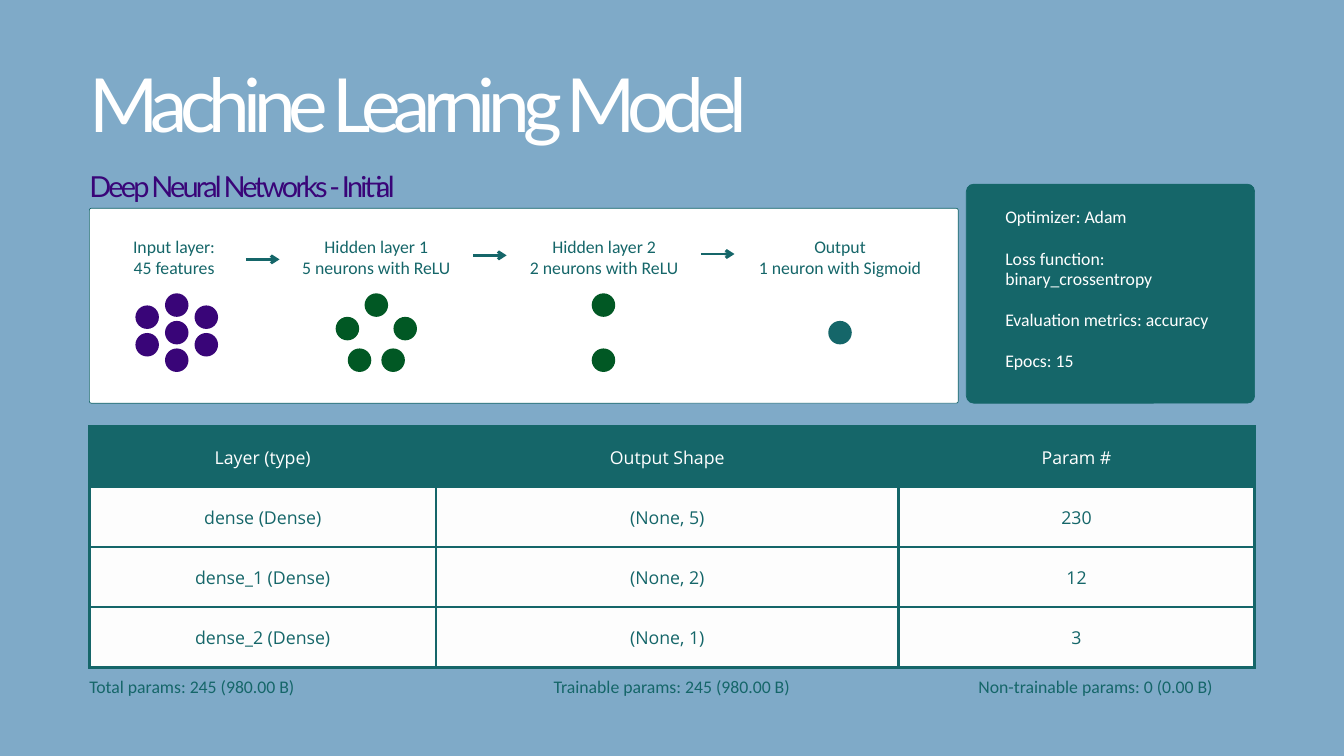
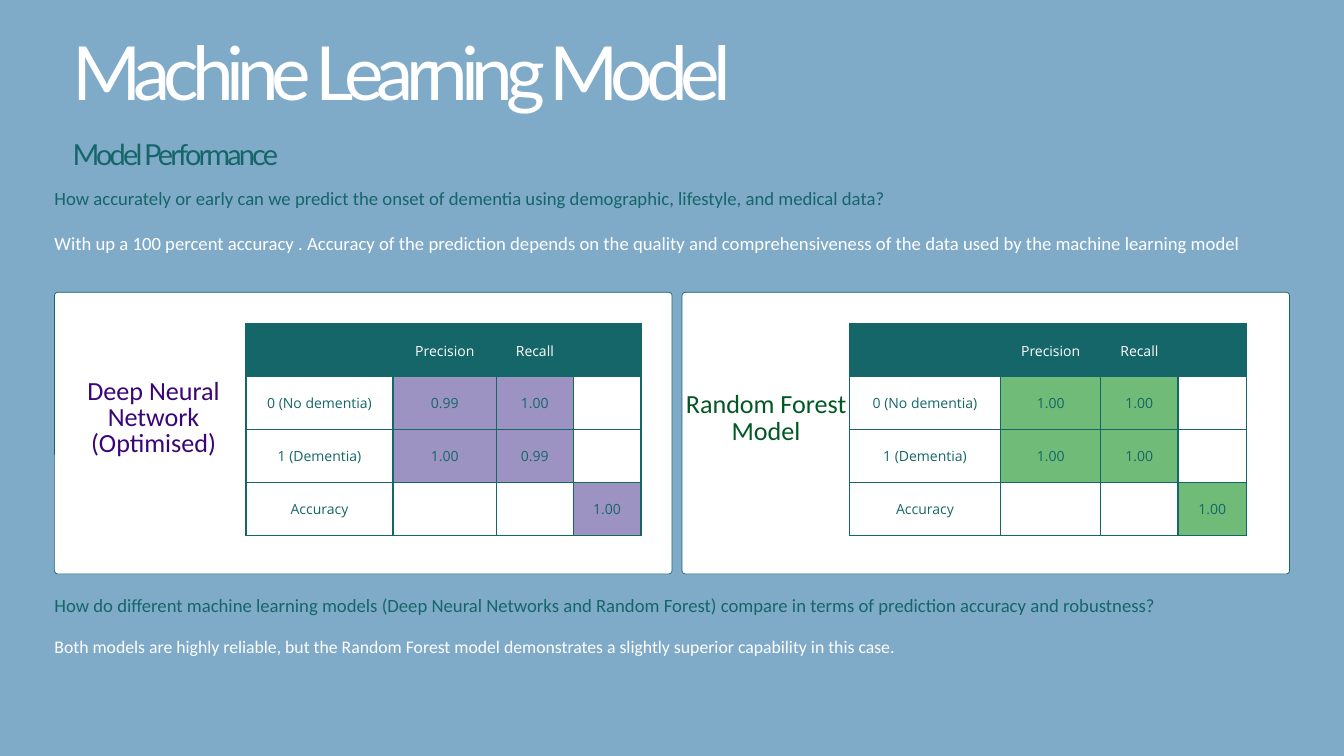
"""Build two slides on a machine learning model: its network and its performance."""
from lxml.etree import SubElement
from pptx import Presentation
from pptx.dml.color import RGBColor
from pptx.enum.shapes import MSO_CONNECTOR, MSO_SHAPE
from pptx.enum.text import MSO_ANCHOR, PP_ALIGN
from pptx.oxml import parse_xml
from pptx.oxml.ns import nsdecls, qn
from pptx.util import Inches, Pt

WIDTH, HEIGHT = Inches(20), Inches(11.25)
COLUMN = WIDTH / 20
COLORS = {
    "back": "7FAAC8", "teal": "156669", "white": "FFFFFF", "cell": "FDFDFD",
    "purple": "390578", "green": "015824", "lilac": "9D93C2", "mint": "70BB77",
}
FONTS = {
    "title": {"name": "Lato", "size": Pt(80)},
    "subtitle": {"name": "Lato", "size": Pt(31)},
    "body": {"name": "Calibri", "size": Pt(19)},
    "question": {"name": "Calibri", "size": Pt(20)},
    "model": {"name": "Calibri", "size": Pt(28)},
    "layers": {"name": "Open Sans", "size": Pt(19)},
    "scores": {"name": "Open Sans", "size": Pt(15)},
}
SPACINGS = {
    "title": {"line_spacing": Pt(40)},
    "subtitle": {"line_spacing": Pt(29.8), "space_before": Pt(29.8)},
    "body": {"line_spacing": Pt(22)},
    "question": {},
    "model": {"line_spacing": Pt(28)},
    "layers": {"line_spacing": Pt(26.6)},
    "scores": {"line_spacing": Pt(21)},
}
TRACKING = {"title": -770, "subtitle": -300}
CENTER = {"alignment": PP_ALIGN.CENTER}

DOT = 0.35
DOT_ROW = 4.95
LABEL_TOP, LABEL_HEIGHT = 3.52, 0.68
LAYERS = [
    (2.59, 2.14, "purple", ["Input layer:", "45 features"], 2.63,
     [(0, 0), (0, -0.41), (0, 0.41), (-0.44, -0.23), (0.44, -0.23),
      (-0.44, 0.18), (0.44, 0.18)]),
    (5.6, 3.14, "green", ["Hidden layer 1", "5 neurons with ReLU"], 5.6,
     [(0, -0.41), (-0.43, -0.06), (0.43, -0.06), (-0.25, 0.41), (0.25, 0.41)]),
    (8.99, 3.14, "green", ["Hidden layer 2", "2 neurons with ReLU"], 8.98,
     [(0, -0.41), (0, 0.41)]),
    (12.5, 3.14, "teal", ["Output", "1 neuron with Sigmoid"], 12.5, [(0, 0)]),
]
ARROWS = [(3.66, 3.86), (7.04, 3.8), (10.43, 3.78)]
SETTINGS = ["Optimizer: Adam", "Loss function: binary_crossentropy",
            "Evaluation metrics: accuracy", "Epocs: 15"]
SUMMARY = [
    ["Layer (type)", "Output Shape", "Param #"],
    ["dense (Dense)", "(None, 5)", "230"],
    ["dense_1 (Dense)", "(None, 2)", "12"],
    ["dense_2 (Dense)", "(None, 1)", "3"],
]
TOTALS = [
    (1.33, 5.41, "Total params: 245 (980.00 B)", {}),
    (7.29, 5.41, "Trainable params: 245 (980.00 B)", CENTER),
    (14.56, 4.11, "Non-trainable params: 0 (0.00 B)", {}),
]


def grid(*lengths):
    """Turn grid columns into slide units."""
    return [round(n * COLUMN) for n in lengths]


def rgb(color):
    """Look a colour up by name."""
    return RGBColor.from_string(COLORS[color])


def set_all(obj, values):
    """Set each named attribute of an object."""
    for name, value in values.items():
        setattr(obj, name, value)


def write(p, text, style, color, **extra):
    """Fill a paragraph with one styled run."""
    set_all(p, SPACINGS[style] | extra)
    r = p.add_run()
    r.text = text
    set_all(r.font, FONTS[style])
    r.font.color.rgb = rgb(color)
    if style in TRACKING:
        r.font._element.set("spc", str(TRACKING[style]))


def add_text(s, box, paragraphs):
    """Add a text box of (text, style, colour, extra) paragraphs."""
    sp = s.shapes.add_textbox(*grid(*box))
    tf = sp.text_frame
    set_all(tf, {"word_wrap": True, "margin_left": 0, "margin_right": 0,
                 "margin_top": 0, "margin_bottom": 0})
    for i, (text, style, color, extra) in enumerate(paragraphs):
        p = tf.add_paragraph() if i else tf.paragraphs[0]
        write(p, text, style, color, **extra)
    return sp


def add_heading(s, left, top, subtitle, color):
    """Add the title with its subtitle."""
    add_text(s, (left, top, 15.55, 1.23), [
        ("Machine Learning Model", "title", "white", {}),
        (subtitle, "subtitle", color, {})])


def add_panel(s, box, fill, radius):
    """Add a rounded panel with a thin outline."""
    sp = s.shapes.add_shape(MSO_SHAPE.ROUNDED_RECTANGLE, *grid(*box))
    sp.adjustments[0] = radius / min(box[2:])
    sp.shadow.inherit = False
    sp.fill.solid()
    sp.fill.fore_color.rgb = rgb(fill)
    sp.line.color.rgb = rgb("teal")
    sp.line.width = Pt(0.75)


def add_dot(s, x, y, color):
    """Add one neuron centred on a point."""
    sp = s.shapes.add_shape(MSO_SHAPE.OVAL, *grid(x - DOT / 2, y - DOT / 2, DOT, DOT))
    sp.shadow.inherit = False
    sp.fill.solid()
    sp.fill.fore_color.rgb = rgb(color)
    sp.line.fill.background()


def add_arrow(s, x, y):
    """Add a short arrow pointing right."""
    cx = s.shapes.add_connector(MSO_CONNECTOR.STRAIGHT, *grid(x, y, x + 0.5, y))
    cx.line.color.rgb = rgb("teal")
    cx.line.width = Pt(3)
    SubElement(cx.line._get_or_add_ln(), qn("a:tailEnd"), type="arrow")
    SubElement(cx._element.spPr, qn("a:effectLst"))
    return cx


def add_borders(cell, width):
    """Draw all four borders of a cell."""
    tc_pr = cell._tc.get_or_add_tcPr()
    for i, side in enumerate("LRTB"):
        tc_pr.insert(i, parse_xml(
            f'<a:ln{side} {nsdecls("a")} w="{Pt(width)}"><a:solidFill>'
            f'<a:srgbClr val="{COLORS["teal"]}"/></a:solidFill></a:ln{side}>'))


def add_grid_table(s, left, top, height, widths, rows, style, border, fill_of):
    """Add a table with a teal header and fills chosen by row and column."""
    box = grid(left, top, sum(widths), height)
    table = s.shapes.add_table(len(rows), len(widths), *box).table
    table.first_row = table.horz_banding = False
    for column, width in zip(table.columns, grid(*widths)):
        column.width = width
    for i, row in enumerate(rows):
        table.rows[i].height = box[3] // len(rows)
        for j, text in enumerate(row):
            cell = table.cell(i, j)
            margin = grid(0.21)[0]
            set_all(cell, {"margin_left": margin, "margin_right": margin,
                           "margin_top": margin, "margin_bottom": margin,
                           "vertical_anchor": MSO_ANCHOR.MIDDLE})
            cell.fill.solid()
            cell.fill.fore_color.rgb = rgb(fill_of(i, j) if i else "teal")
            add_borders(cell, border)
            if text:
                write(cell.text_frame.paragraphs[0], text, style,
                      "teal" if i else "white", **CENTER)


def add_scores(s, left, widths, scores, tint):
    """Add a precision and recall table with its scores tinted."""
    rows = [["", "Precision", "Recall", ""],
            ["0 (No dementia)", *scores[0], ""],
            ["1 (Dementia)", *scores[1], ""],
            ["Accuracy", "", "", "1.00"]]
    add_grid_table(s, left, 4.82, 3.15, widths, rows, "scores", 1.5,
                   lambda i, j: tint if j and rows[i][j] else "white")


def add_slide(prs):
    """Add a blank slide with the shared background."""
    s = prs.slides.add_slide(prs.slide_layouts[6])
    s.background.fill.solid()
    s.background.fill.fore_color.rgb = rgb("back")
    return s


def build_network(prs):
    """Build the slide on the initial network."""
    s = add_slide(prs)
    add_panel(s, (1.33, 3.1, 12.93, 2.9), "white", 0.03)
    add_grid_table(s, 1.33, 6.35, 3.58, [5.16, 6.88, 5.3], SUMMARY, "layers", 3,
                   lambda i, j: "cell")
    add_panel(s, (14.38, 2.74, 4.29, 3.26), "teal", 0.11)
    add_heading(s, 1.33, 1.64, "Deep Neural Networks - Initial", "purple")
    add_text(s, (14.96, 3.08, 3.5, 2.78), [
        (text, "body", "white", {"space_before": Pt(22 if i else 0)})
        for i, text in enumerate(SETTINGS)])
    for left, width, text, extra in TOTALS:
        add_text(s, (left, 10.07, width, 0.36), [(text, "body", "teal", extra)])
    labels = []
    for center, width, color, lines, dot_center, dots in LAYERS:
        labels.append(add_text(
            s, (center - width / 2, LABEL_TOP, width, LABEL_HEIGHT),
            [(line, "body", "teal", CENTER) for line in lines]))
        for dx, dy in dots:
            add_dot(s, dot_center + dx, DOT_ROW + dy, color)
    arrows = [add_arrow(s, x, y) for x, y in ARROWS]
    arrows[0].begin_connect(labels[0], 3)


def build_performance(prs):
    """Build the slide on model performance."""
    s = add_slide(prs)
    add_heading(s, 1.08, 1.16, "Model Performance", "teal")
    add_text(s, (0.81, 2.78, 18.38, 1.35), [
        ("How accurately or early can we predict the onset of dementia using "
         "demographic, lifestyle, and medical data?", "question", "teal", {}),
        ("With up a 100 percent accuracy . Accuracy of the prediction depends on "
         "the quality and comprehensiveness of the data used by the machine "
         "learning model", "question", "white", {"space_before": Pt(24.4)})])
    add_text(s, (0.81, 8.81, 18.38, 1.35), [
        ("How do different machine learning models (Deep Neural Networks and "
         "Random Forest) compare in terms of prediction accuracy and robustness?",
         "question", "teal", {"line_spacing": Pt(26.1)}),
        ("Both models are highly reliable, but the Random Forest model "
         "demonstrates a slightly superior capability in this case.",
         "body", "white", {"space_before": Pt(22)})])
    add_panel(s, (10.15, 4.35, 9.04, 4.19), "white", 0.05)
    add_panel(s, (0.81, 4.35, 9.19, 4.19), "white", 0.05)
    add_text(s, (10.16, 5.85, 2.48, 1.27),
             [("Random Forest Model", "model", "green", CENTER)])
    add_text(s, (1.18, 5.65, 2.21, 1.65),
             [("Deep Neural Network (Optimised)", "model", "purple", CENTER)])
    add_scores(s, 12.64, [2.25, 1.49, 1.15, 1.02],
               [("1.00", "1.00"), ("1.00", "1.00")], "mint")
    add_scores(s, 3.66, [2.19, 1.54, 1.14, 1.01],
               [("0.99", "1.00"), ("1.00", "0.99")], "lilac")


def main():
    """Build and save the slides."""
    prs = Presentation()
    set_all(prs, {"slide_width": WIDTH, "slide_height": HEIGHT})
    build_network(prs)
    build_performance(prs)
    prs.save("out.pptx")


if __name__ == "__main__":
    main()
